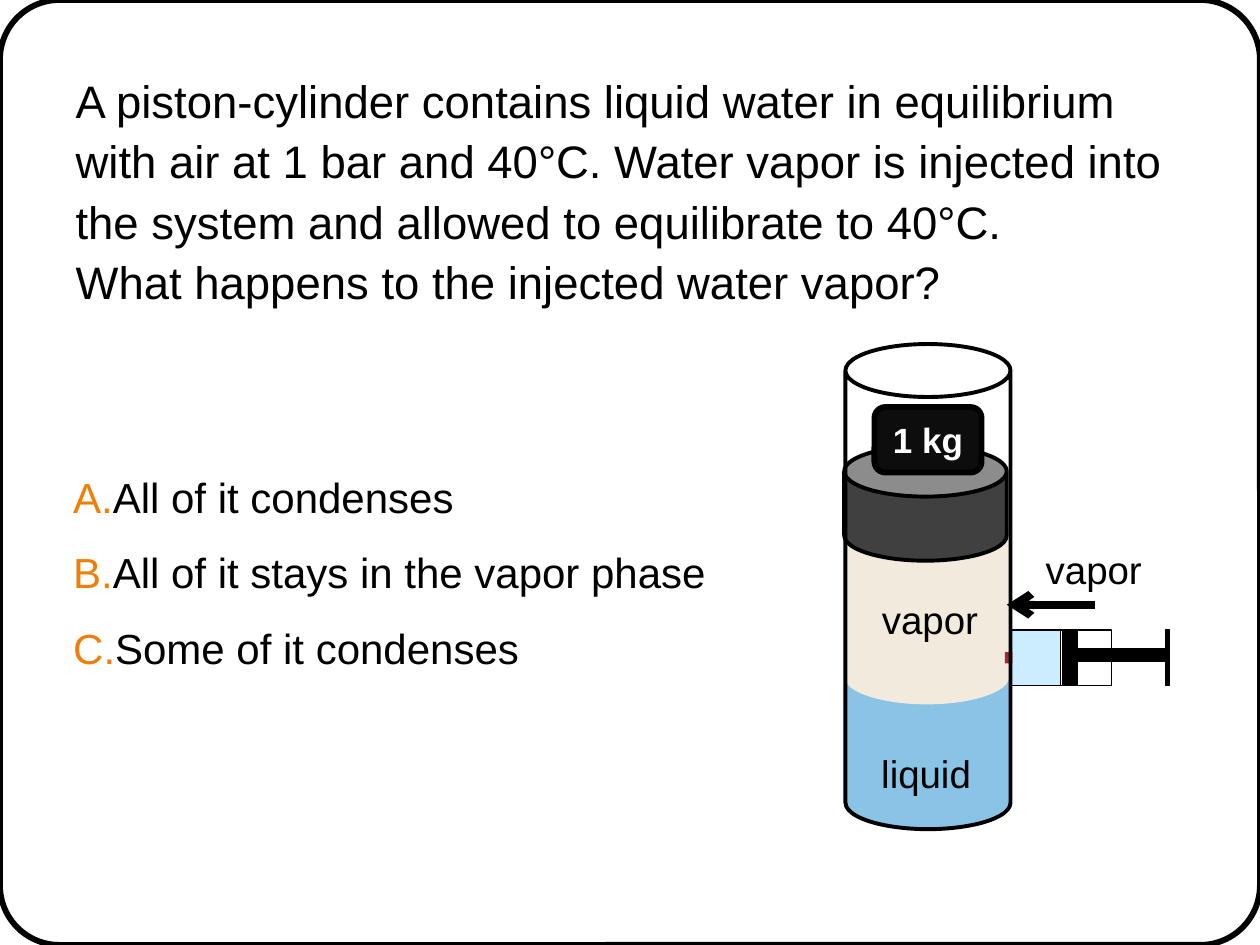
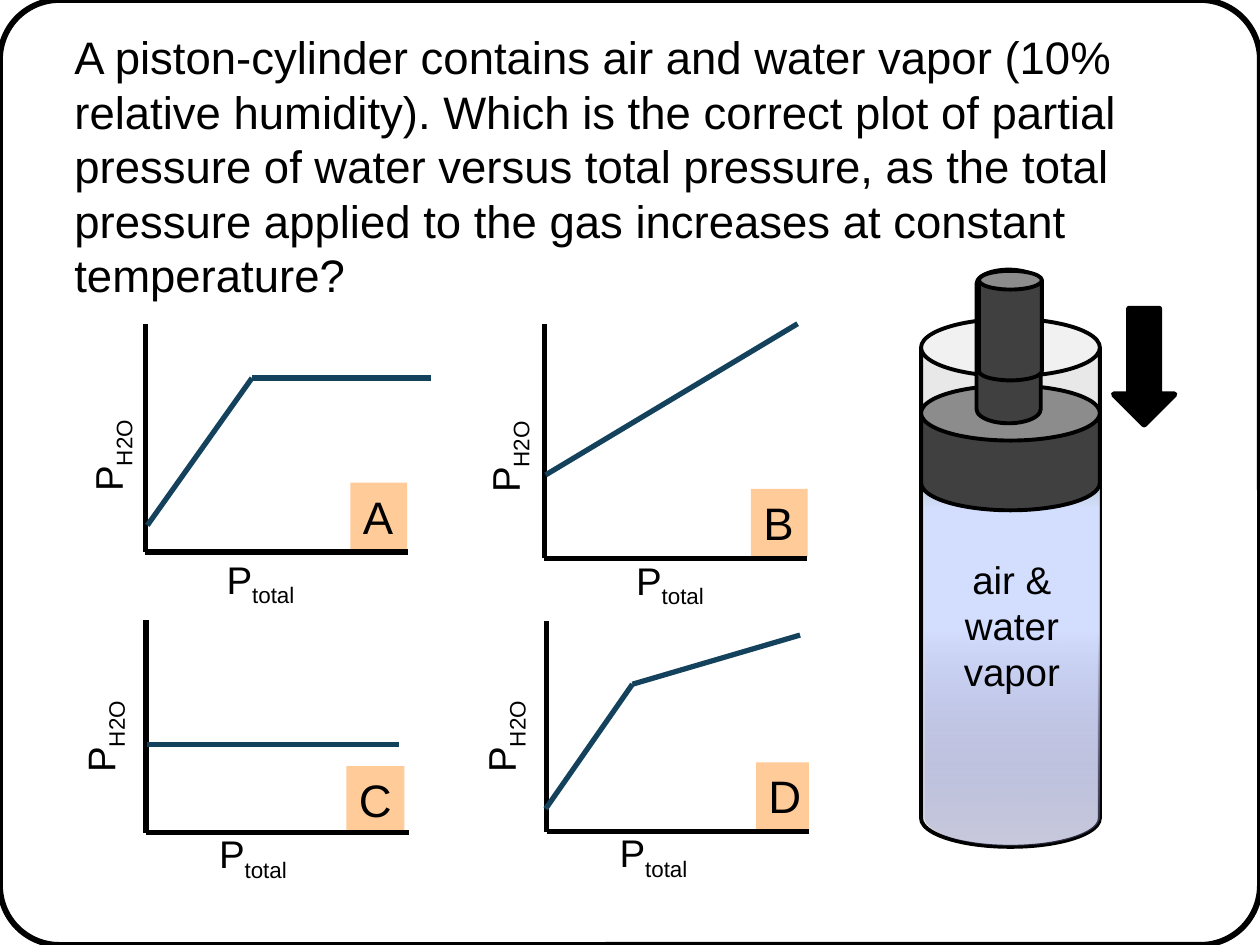
"""Build two quiz slides about water vapor in a piston-cylinder."""
from itertools import pairwise

from lxml import etree
from pptx import Presentation
from pptx.dml.color import RGBColor
from pptx.enum import shapes, text
from pptx.oxml import parse_xml
from pptx.oxml.ns import nsdecls, qn
from pptx.util import Pt

BLACK = RGBColor(0x00, 0x00, 0x00)
WHITE = RGBColor(0xFF, 0xFF, 0xFF)
ORANGE = RGBColor(0xF0, 0x7F, 0x09)
PEACH = RGBColor(0xFF, 0xCC, 0x99)
LIQUID = RGBColor(0x89, 0xC3, 0xE5)
VAPOR = RGBColor(0xF3, 0xEA, 0xDE)
PISTON = RGBColor(0x40, 0x40, 0x40)
WEIGHT = RGBColor(0x0D, 0x0D, 0x0D)
SYRINGE = RGBColor(0xCC, 0xEC, 0xFF)
NOZZLE = RGBColor(0x9F, 0x29, 0x36)
GLASS = RGBColor(0xD9, 0xD9, 0xD9)
CURVE = RGBColor(0x14, 0x42, 0x5D)

FONT = "Arial"
CAN = shapes.MSO_SHAPE.CAN
RECT = shapes.MSO_SHAPE.RECTANGLE
ROUNDED = shapes.MSO_SHAPE.ROUNDED_RECTANGLE
LEFT, CENTER = text.PP_ALIGN.LEFT, text.PP_ALIGN.CENTER


def add_item(s, kind, box, fill=None, line=0, adj=None, paras=(), size=22,
             color=BLACK, bold=False, align=LEFT, wrap=False, spacing=None, inset=True):
    """Add a preset shape, or a text box if kind is None; later runs are subscripts."""
    box = [Pt(v) for v in box]
    if kind is None:
        sp = s.shapes.add_textbox(*box)
    else:
        sp = s.shapes.add_shape(kind, *box)
        sp.shadow.inherit = False
        if fill is None:
            sp.fill.background()
        else:
            sp.fill.solid()
            sp.fill.fore_color.rgb = fill
        if line:
            sp.line.color.rgb = BLACK
            sp.line.width = Pt(line)
        else:
            sp.line.fill.background()
        if adj is not None:
            sp.adjustments[0] = adj
    tf = sp.text_frame
    tf.word_wrap = wrap
    tf.vertical_anchor = text.MSO_ANCHOR.TOP
    if not inset:
        tf.margin_left = tf.margin_top = tf.margin_right = tf.margin_bottom = 0
    for i, runs in enumerate(paras):
        p = tf.add_paragraph() if i else tf.paragraphs[0]
        p.alignment = align
        p.line_spacing = spacing
        for j, words in enumerate(runs):
            r = p.add_run()
            r.text = words
            r.font.name, r.font.size, r.font.bold = FONT, Pt(size), bold
            r.font.color.rgb = color
            if j:
                r.font._element.set("baseline", "-25000")
    return sp


def add_line(s, start, end, color, width):
    """Add a straight line between two points."""
    ln = s.shapes.add_connector(shapes.MSO_CONNECTOR.STRAIGHT,
                                *[Pt(v) for v in (*start, *end)])
    ln.line.color.rgb = color
    ln.line.width = Pt(width)
    etree.SubElement(ln._element.spPr, qn("a:effectLst"))
    return ln


prs = Presentation()
prs.slide_width, prs.slide_height = Pt(720), Pt(540)
slides = [prs.slides.add_slide(prs.slide_layouts[6]) for _ in range(2)]
for s in slides:
    add_item(s, ROUNDED, (0, 0, 720, 540), line=3.35, adj=0.063)

s = slides[0]
add_item(s, None, (43.2, 38.9, 633, 148.3), size=26, wrap=True, spacing=1.1, inset=False, paras=[
    ["A piston-cylinder contains liquid water in equilibrium with air at 1 bar and 40°C. "
     "Water vapor is injected into the system and allowed to equilibrate to 40°C."],
    ["What happens to the injected water vapor?"]])
answers = add_item(s, None, (41.8, 254.9, 396.7, 172.8), size=24, wrap=True, spacing=1.5,
                   inset=False, paras=[["All of it condenses"],
                                       ["All of it stays in the vapor phase"],
                                       ["Some of it condenses"]])
for p in answers.text_frame.paragraphs:
    pPr = p._p.get_or_add_pPr()
    pPr.set("marL", "0")
    pPr.set("indent", str(-Pt(36)))
    bullet = etree.SubElement(pPr, qn("a:buClr"))
    etree.SubElement(bullet, qn("a:srgbClr"), val=str(ORANGE))
    etree.SubElement(pPr, qn("a:buFont"), typeface=FONT)
    etree.SubElement(pPr, qn("a:buAutoNum"), type="alphaUcPeriod")

add_item(s, CAN, (482.4, 370.1, 94.3, 103), LIQUID, adj=0.334)
add_item(s, CAN, (482.4, 285.1, 94.3, 117.4), VAPOR, adj=0.334)
add_item(s, CAN, (482.4, 254.9, 92.9, 65.5), PISTON, 2.25, 0.441)
weight = add_item(s, ROUNDED, (499.7, 232.6, 61.2, 37.4), WEIGHT, 3.35, paras=[["1 kg"]],
                  size=20, color=WHITE, bold=True, align=CENTER, wrap=True)
weight.text_frame.vertical_anchor = text.MSO_ANCHOR.MIDDLE

for box, fill, line in [
    ((578, 360, 29, 31.7), SYRINGE, 0.75),
    ((606, 360, 29, 31.7), WHITE, 0.75),
    ((607, 360, 8.6, 31.7), BLACK, 0.75),
    ((615.6, 370.8, 50.4, 7.2), BLACK, 0.75),
    ((666, 360, 2.2, 31.7), BLACK, 0.75),
    ((574.2, 372.6, 4.3, 6.5), NOZZLE, 0),
]:
    add_item(s, RECT, box, fill, line)
arrow = add_line(s, (625.7, 345.6), (575.3, 345.6), BLACK, 4.5)
etree.SubElement(arrow.line._get_or_add_ln(), qn("a:tailEnd"), type="arrow")

for words, x, y, w in [("liquid", 496.1, 424.8, 66.2), ("vapor", 589.7, 308.2, 70.6),
                       ("vapor", 496.1, 337, 70.6)]:
    add_item(s, None, (x, y, w, 33.8), paras=[[words]], align=CENTER)
add_item(s, CAN, (483.1, 196.6, 94.3, 277.2), line=2.25, adj=0.321)

s = slides[1]
add_item(s, None, (42.5, 16.6, 633, 164.2), size=26, wrap=True, inset=False, paras=[
    ["A piston-cylinder contains air and water vapor (10% relative humidity). Which is the "
     "correct plot of partial pressure of water versus total pressure, as the total pressure "
     "applied to the gas increases at constant temperature?"]])

AXIS_LENGTH = 150
plots = [
    ("A", (200.2, 275.8, 32.4), (83, 185, 315.4), (122.4, 314), (31.7, 241.2),
     [(84.2, 300.2), (144, 216), (246.2, 216)]),
    ("B", (429.1, 279.4, 32.4), (311, 185, 319), (356.4, 314.6), (258.5, 241.9),
     [(311.8, 271.4), (455.8, 185)]),
    ("C", (198, 437.8, 33.1), (83.5, 354.2, 475.9), (118.1, 470.9), (27.4, 401.8),
     [(84.2, 425.5), (228.2, 425.5)]),
    ("D", (432, 435.6, 30.2), (312.5, 355, 475.2), (347, 470.2), (256.3, 401.8),
     [(311.8, 462.2), (361.4, 391), (457.2, 362.9)]),
]
for letter, (tag_x, tag_y, tag_w), (x, top, base), x_label, y_label, points in plots:
    add_item(s, RECT, (tag_x, tag_y, tag_w, 38.9), PEACH, paras=[[letter]], size=26)
    add_line(s, (x, top), (x, base), BLACK, 3)
    add_line(s, (x, base), (x + AXIS_LENGTH, base), BLACK, 3)
    add_item(s, None, (*x_label, 57.6, 33.8), paras=[["P", "total"]])
    add_item(s, None, (*y_label, 59.8, 33.8), paras=[["P", "H2O"]]).rotation = 270
    for start, end in pairwise(points):
        add_line(s, start, end, CURVE, 3)

glass = add_item(s, CAN, (526.3, 182.2, 102.2, 301.7), GLASS, 2.25, 0.321)
etree.SubElement(glass._element.spPr.find(qn("a:solidFill"))[0], qn("a:alpha"), val="60000")

gas = add_item(s, CAN, (528.5, 250.6, 99.4, 232.6), WHITE, adj=0.334)
solid = gas._element.spPr.find(qn("a:solidFill"))
solid.getparent().replace(solid, parse_xml(
    f'<a:gradFill {nsdecls("a")} rotWithShape="1"><a:gsLst>'
    '<a:gs pos="0"><a:srgbClr val="8488C4"><a:alpha val="31000"/></a:srgbClr></a:gs>'
    '<a:gs pos="53000"><a:srgbClr val="D4DEFF"/></a:gs>'
    '<a:gs pos="83000"><a:srgbClr val="D4DEFF"/></a:gs>'
    '<a:gs pos="100000"><a:srgbClr val="96AB94"/></a:gs>'
    '</a:gsLst><a:lin ang="16200000" scaled="0"/></a:gradFill>'))

add_item(s, CAN, (526.3, 220.3, 102.2, 71.3), PISTON, 2.25, 0.441)
add_item(s, CAN, (558, 154.1, 36.7, 87.8), PISTON, 2.25, 0.441)
add_item(s, None, (542.9, 313.9, 70.6, 87.1), paras=[["air &"], ["water"], ["vapor"]], align=CENTER)
add_item(s, CAN, (559.4, 154.8, 36, 62.6), PISTON, 2.25, 0.297)
add_item(s, shapes.MSO_SHAPE.DOWN_ARROW, (636.5, 176.4, 34.6, 66.2), BLACK, 3.35)

prs.save("out.pptx")
